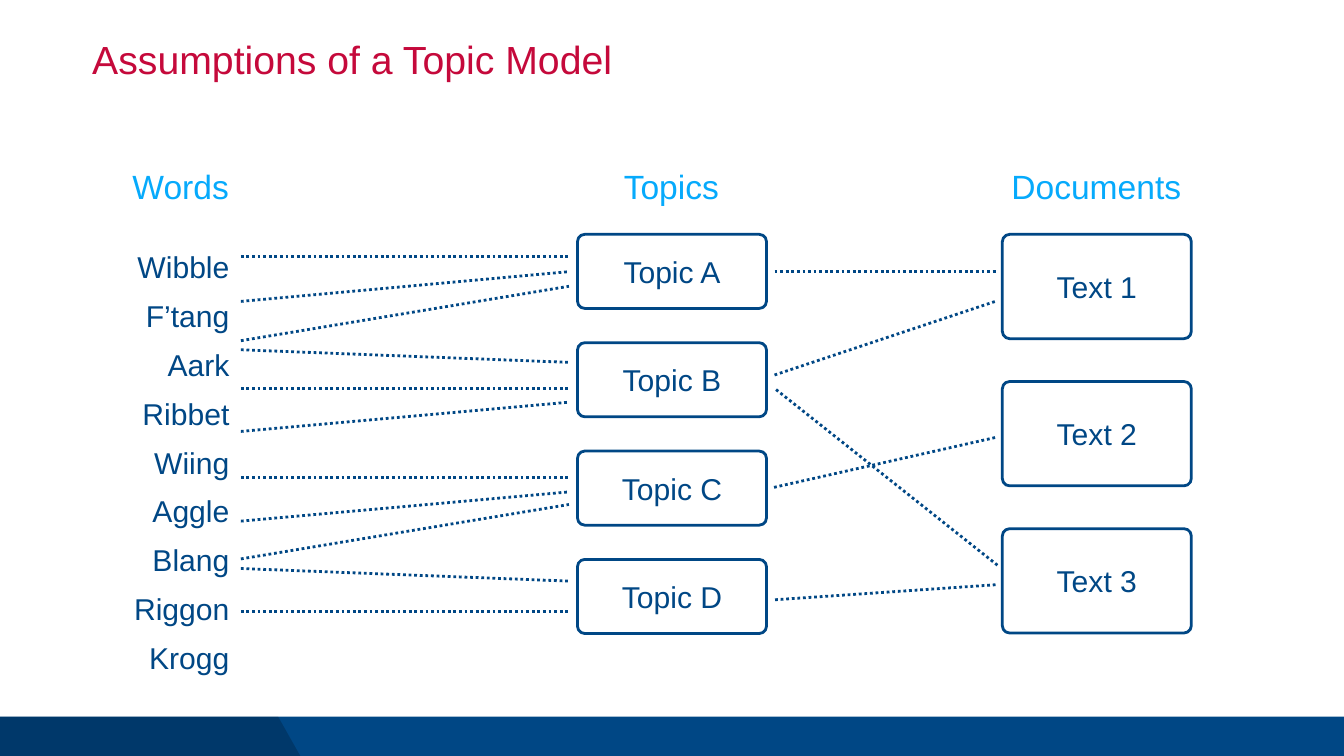
"""Builds the topic model slide: words, topics and documents joined by dotted links."""
import pptx
import pptx.util
from lxml import etree
from pptx.dml.color import RGBColor
from pptx.enum.dml import MSO_LINE
from pptx.enum.shapes import MSO_CONNECTOR, MSO_SHAPE
from pptx.enum.text import MSO_ANCHOR, MSO_AUTO_SIZE, PP_ALIGN
from pptx.oxml.ns import qn
from pptx.util import Inches, Pt

NAVY = RGBColor(0x00, 0x47, 0x85)
SKY = RGBColor(0x06, 0xAA, 0xFC)
CRIMSON = RGBColor(0xC5, 0x09, 0x3B)
BLACK = RGBColor(0x00, 0x00, 0x00)

WIDTH, HEIGHT = 26.67, 15
FOOTER_TOP = 14.22
BOX_TOP, BOX_WIDTH = 4.65, 3.75
TOPIC_LEFT, TOPIC_HEIGHT, TOPIC_PITCH = 11.46, 1.47, 2.15
TEXT_LEFT, TEXT_HEIGHT, TEXT_PITCH = 19.89, 2.07, 2.92
WORD_LINK_START, WORD_LINK_END = 4.78, 11.29

HEADINGS = [("Words", 2.53, 2.13), ("Topics", 12.28, 2.1), ("Documents", 19.97, 3.59)]
WORDS = ["Wibble", "F’tang", "Aark", "Ribbet", "Wiing", "Aggle", "Blang", "Riggon", "Krogg"]
TOPICS = ["Topic A", "Topic B", "Topic C", "Topic D"]
DOCUMENTS = ["Text 1", "Text 2", "Text 3"]
WORD_LINKS = [
    (5.09, 5.09), (5.98, 5.39), (6.76, 5.68), (6.94, 7.19), (7.71, 7.71), (8.56, 7.98),
    (9.48, 9.48), (10.34, 9.76), (11.09, 10.01), (11.28, 11.53), (12.14, 12.14),
]
DOCUMENT_LINKS = [
    (15.37, 5.38, 19.78, 5.38), (15.37, 7.44, 19.75, 5.98), (15.4, 7.73, 19.8, 11.22),
    (15.36, 9.67, 19.8, 8.67), (15.38, 11.9, 19.79, 11.6),
]


class TopicSlide:
    """Holds the style and the current slide."""

    font = "Arial"
    body_size = 43
    line_width = 4

    def __init__(self, deck):
        self.slide = deck.slides.add_slide(deck.slide_layouts[5])
        self.shapes = self.slide.shapes

    def styled_run(self, paragraph, wording, size, color):
        """Adds one styled run."""
        run = paragraph.add_run()
        run.text = wording
        run.font.name = self.font
        run.font.size = Pt(size)
        run.font.color.rgb = color

    def title(self, wording):
        """Places and fills the title placeholder."""
        title = self.shapes.title
        title.left, title.top = Inches(1.83), Inches(0.8)
        title.width, title.height = Inches(23), Inches(1.05)
        frame = title.text_frame
        frame.margin_left = frame.margin_right = frame.margin_top = frame.margin_bottom = 0
        frame.vertical_anchor = MSO_ANCHOR.TOP
        frame.auto_size = MSO_AUTO_SIZE.NONE
        paragraph = frame.paragraphs[0]
        paragraph.alignment = PP_ALIGN.LEFT
        paragraph.line_spacing = 0.9
        self.styled_run(paragraph, wording, 56, CRIMSON)

    def footer(self):
        """Draws the bottom band and its darker wedge."""
        band = self.shapes.add_shape(
            MSO_SHAPE.RECTANGLE, 0, Inches(FOOTER_TOP), Inches(WIDTH), Inches(HEIGHT - FOOTER_TOP))
        outline = self.shapes.build_freeform(0, Inches(FOOTER_TOP))
        outline.add_line_segments(
            [(Inches(x), Inches(y)) for x, y in [(5.52, FOOTER_TOP), (5.96, HEIGHT), (0, HEIGHT)]])
        wedge = outline.convert_to_shape()
        for part, color in [(band, NAVY), (wedge, BLACK)]:
            part.shadow.inherit = False
            part.fill.solid()
            part.fill.fore_color.rgb = color
            part.line.fill.background()
        shade = wedge._element.spPr.find(qn("a:solidFill"))[0]
        etree.SubElement(shade, qn("a:alpha")).set("val", "20000")

    def text(self, lines, left, top, width, height, size, color):
        """Adds an unwrapped text box and returns its paragraphs."""
        frame = self.shapes.add_textbox(
            Inches(left), Inches(top), Inches(width), Inches(height)).text_frame
        frame.margin_left = frame.margin_right = Inches(0.1)
        frame.margin_top = frame.margin_bottom = Inches(0.1)
        frame.word_wrap = False
        frame.auto_size = MSO_AUTO_SIZE.SHAPE_TO_FIT_TEXT
        for index, wording in enumerate(lines):
            paragraph = frame.add_paragraph() if index else frame.paragraphs[0]
            self.styled_run(paragraph, wording, size, color)
        return frame.paragraphs

    def word_list(self, words):
        """Adds the right-aligned column of words."""
        for word in self.text(words, 2.54, 4.62, 2.11, 7.89, self.body_size, NAVY):
            word.alignment = PP_ALIGN.RIGHT
            word.line_spacing = 1.3
            word.space_before = Pt(2.7)

    def box_column(self, labels, left, height, pitch, rounding):
        """Stacks labelled rounded boxes at an equal pitch."""
        for row, label in enumerate(labels):
            box = self.shapes.add_shape(
                MSO_SHAPE.ROUNDED_RECTANGLE, Inches(left), Inches(BOX_TOP + row * pitch),
                Inches(BOX_WIDTH), Inches(height))
            box.adjustments[0] = rounding
            box.shadow.inherit = False
            box.fill.background()
            box.line.color.rgb = NAVY
            box.line.width = Pt(self.line_width)
            box.text_frame.vertical_anchor = MSO_ANCHOR.MIDDLE
            paragraph = box.text_frame.paragraphs[0]
            paragraph.alignment = PP_ALIGN.CENTER
            self.styled_run(paragraph, label, self.body_size, NAVY)

    def link(self, start_x, start_y, end_x, end_y):
        """Draws a dotted link between two points."""
        link = self.shapes.add_connector(
            MSO_CONNECTOR.STRAIGHT, Inches(start_x), Inches(start_y), Inches(end_x), Inches(end_y))
        link.line.color.rgb = NAVY
        link.line.width = Pt(self.line_width)
        link.line.dash_style = MSO_LINE.ROUND_DOT
        etree.SubElement(link._element.spPr, qn("a:effectLst"))


def main():
    """Builds and saves the deck."""
    deck = pptx.Presentation()
    deck.slide_width, deck.slide_height = Inches(WIDTH), Inches(HEIGHT)
    page = TopicSlide(deck)
    page.footer()
    page.title("Assumptions of a Topic Model")
    for heading, left, width in HEADINGS:
        page.text([heading], left, 3.19, width, 0.94, 48, SKY)
    page.box_column(TOPICS, TOPIC_LEFT, TOPIC_HEIGHT, TOPIC_PITCH, 0.098)
    page.box_column(DOCUMENTS, TEXT_LEFT, TEXT_HEIGHT, TEXT_PITCH, 0.07)
    page.word_list(WORDS)
    for word_y, topic_y in WORD_LINKS:
        page.link(WORD_LINK_START, word_y, WORD_LINK_END, topic_y)
    for ends in DOCUMENT_LINKS:
        page.link(*ends)
    deck.save("out.pptx")


if __name__ == "__main__":
    main()
